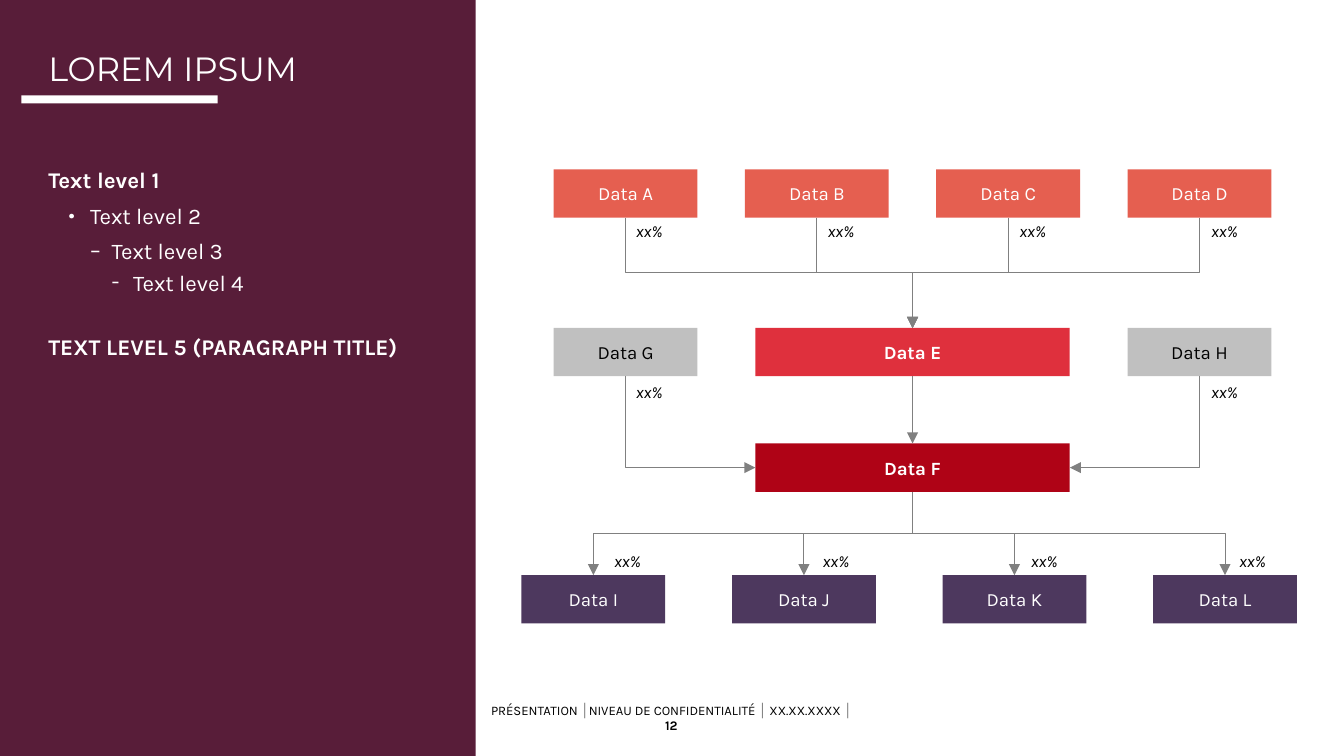
"""Build a slide with a text panel beside a data flow chart."""
import pptx
import pptx.dml.color
import pptx.enum.shapes
import pptx.enum.text
import pptx.oxml.ns
import pptx.util
from lxml import etree

Inches = pptx.util.Inches
CENTER = pptx.enum.text.PP_ALIGN.CENTER
LEFT = pptx.enum.text.PP_ALIGN.LEFT
MIDDLE = pptx.enum.text.MSO_ANCHOR.MIDDLE
STRAIGHT = pptx.enum.shapes.MSO_CONNECTOR.STRAIGHT
ELBOW = pptx.enum.shapes.MSO_CONNECTOR.ELBOW
TOP_SIDE, LEFT_SIDE, BOTTOM_SIDE, RIGHT_SIDE = range(4)

WHITE, BLACK, GRAY = "FFFFFF", "010101", "808080"
PLUM, CORAL, SILVER, PURPLE = "581D39", "E55F50", "C0C0C0", "4D385E"
SLIDE_WIDTH = 10
SLIDE_HEIGHT = SLIDE_WIDTH * 9 / 16
BOX_WIDTH, WIDE_WIDTH, BOX_HEIGHT = 1.07, 2.34, 0.36

TITLE = "LOREM IPSUM"
LEVELS = [
    ("Text level 1", None, 0, 8, 0.9, True),
    ("Text level 2", "•", 0.31, 6, 0.9, False),
    ("Text level 3", "–", 0.47, 6, 0.9, False),
    ("Text level 4", "-", 0.63, 4, 0.9, False),
    ("TEXT LEVEL 5 (PARAGRAPH TITLE)", None, 0, 20, 1, True),
]
FOOTER = [
    ("PRÉSENTATION ", BLACK, False), ("│", GRAY, False),
    ("NIVEAU DE CONFIDENTIALITÉ ", BLACK, False), ("│ ", GRAY, False),
    ("XX.XX.XXXX ", BLACK, False), ("│ ", GRAY, False), ("12", BLACK, True),
]
BOX_ROWS = [
    ("ABCD", 4.12, 8.39, 1.26, BOX_WIDTH, CORAL, WHITE, False),
    ("GH", 4.12, 8.39, 2.44, BOX_WIDTH, SILVER, BLACK, False),
    ("E", 5.62, 5.62, 2.44, WIDE_WIDTH, "DF303D", WHITE, True),
    ("F", 5.62, 5.62, 3.3, WIDE_WIDTH, "AF0316", WHITE, True),
    ("IJKL", 3.88, 8.58, 4.28, BOX_WIDTH, PURPLE, WHITE, False),
]
LABEL_ROWS = [
    (4, 4.63, 8.91, 1.64, CENTER),
    (2, 4.63, 8.91, 2.84, CENTER),
    (4, 4.49, 9.14, 4.1, LEFT),
]
ELBOWS = (
    [(name, "E", TOP_SIDE) for name in "ABCD"]
    + [("G", "F", LEFT_SIDE), ("H", "F", RIGHT_SIDE)]
    + [("F", name, TOP_SIDE) for name in "IJKL"]
)


def color(value):
    return pptx.dml.color.RGBColor.from_string(value)


def spread(first, last, count):
    step = (last - first) / max(count - 1, 1)
    return [first + step * index for index in range(count)]


def set_font(font, size, fill, bold=False, italic=False, name="Karla"):
    font.name, font.size = name, pptx.util.Pt(size)
    font.bold, font.italic = bold, italic
    font.color.rgb = color(fill)


def set_frame(shape, margins, anchor):
    frame = shape.text_frame
    frame.word_wrap = True
    frame.vertical_anchor = anchor
    (frame.margin_left, frame.margin_top,
     frame.margin_right, frame.margin_bottom) = map(Inches, margins)
    return frame


def add_text(slide, bounds, anchor=pptx.enum.text.MSO_ANCHOR.TOP, inset=0):
    shape = slide.shapes.add_textbox(*map(Inches, bounds))
    return set_frame(shape, (inset, 0, 0, 0), anchor)


def add_rectangle(slide, bounds, fill):
    shape = slide.shapes.add_shape(
        pptx.enum.shapes.MSO_SHAPE.RECTANGLE, *map(Inches, bounds))
    shape.shadow.inherit = False
    shape.fill.solid()
    shape.fill.fore_color.rgb = color(fill)
    shape.line.fill.background()
    return shape


def add_box(slide, text, bounds, fill, text_color, bold):
    shape = add_rectangle(slide, bounds, fill)
    paragraph = set_frame(shape, [0.04] * 4, MIDDLE).paragraphs[0]
    paragraph.text, paragraph.alignment = text, CENTER
    set_font(paragraph.font, 10, text_color, bold)
    return shape


def add_arrow(slide, kind, source, target, side):
    connector = slide.shapes.add_connector(kind, 0, 0, 0, 0)
    connector.begin_connect(source, BOTTOM_SIDE)
    connector.end_connect(target, side)
    connector.line.color.rgb = color(GRAY)
    connector.line.width = pptx.util.Pt(0.5)
    line = connector.line._get_or_add_ln()
    etree.SubElement(line, pptx.oxml.ns.qn("a:tailEnd"), type="triangle")
    properties = connector._element.spPr
    etree.SubElement(properties, pptx.oxml.ns.qn("a:effectLst"))
    return connector


def add_elbow(slide, source, target, side):
    connector = add_arrow(slide, ELBOW, source, target, side)
    run = connector.end_x - connector.begin_x
    drop = connector.end_y - connector.begin_y
    center_x = (connector.begin_x + connector.end_x) // 2
    center_y = (connector.begin_y + connector.end_y) // 2
    connector.left, connector.top = center_x - drop // 2, center_y - abs(run) // 2
    connector.width, connector.height = drop, abs(run)
    properties = connector._element.spPr
    transform = properties.find(pptx.oxml.ns.qn("a:xfrm"))
    transform.set("rot", "16200000" if run > 0 else "5400000")
    transform.set("flipH", "1" if run > 0 else "0")
    transform.set("flipV", "0")
    if side != TOP_SIDE:
        geometry = properties.find(pptx.oxml.ns.qn("a:prstGeom"))
        geometry.set("prst", "bentConnector2")


def add_panel(slide):
    add_rectangle(slide, (0, 0, 3.54, SLIDE_HEIGHT), PLUM)
    frame = add_text(slide, (0.36, 0.42, 3.13, 0.23), pptx.enum.text.MSO_ANCHOR.BOTTOM)
    title = frame.paragraphs[0]
    title.text, title.line_spacing = TITLE, 0.75
    set_font(title.font, 18, WHITE, name="Montserrat")
    add_rectangle(slide, (0.16, 0.71, 1.46, 0.06), WHITE)
    frame = add_text(slide, (0.36, 1.26, 2.78, 1.58))
    for index, (text, bullet, indent, before, spacing, bold) in enumerate(LEVELS):
        paragraph = frame.add_paragraph() if index else frame.paragraphs[0]
        paragraph.text, paragraph.level = text, index
        paragraph.line_spacing = spacing
        paragraph.space_before = pptx.util.Pt(before)
        properties = paragraph._p.get_or_add_pPr()
        properties.set("marL", str(Inches(indent)))
        properties.set("indent", str(Inches(-0.16 if bullet else 0)))
        if bullet:
            etree.SubElement(properties, pptx.oxml.ns.qn("a:buFont"), typeface="Karla")
            etree.SubElement(properties, pptx.oxml.ns.qn("a:buChar"), char=bullet)
        set_font(paragraph.font, 12, WHITE, bold)


def add_footer(slide):
    paragraph = add_text(slide, (3.64, 5.28, 2.71, 0.12), MIDDLE).paragraphs[0]
    paragraph.alignment = CENTER
    for text, fill, bold in FOOTER:
        run = paragraph.add_run()
        run.text = text
        set_font(run.font, 7, fill, bold)


def add_chart_flow(slide):
    boxes = {}
    for names, first, last, top, width, fill, text_color, bold in BOX_ROWS:
        for name, left in zip(names, spread(first, last, len(names))):
            bounds = (left, top, width, BOX_HEIGHT)
            boxes[name] = add_box(slide, f"Data {name}", bounds, fill, text_color, bold)
    add_arrow(slide, STRAIGHT, boxes["E"], boxes["F"], TOP_SIDE)
    for source, target, side in ELBOWS:
        add_elbow(slide, boxes[source], boxes[target], side)
    for count, first, last, top, alignment in LABEL_ROWS:
        for left in spread(first, last, count):
            frame = add_text(slide, (left, top, 0.32, 0.15), inset=0.08)
            paragraph = frame.paragraphs[0]
            paragraph.text, paragraph.alignment = "xx%", alignment
            set_font(paragraph.font, 9, BLACK, italic=True)


def main():
    presentation = pptx.Presentation()
    presentation.slide_width = Inches(SLIDE_WIDTH)
    presentation.slide_height = Inches(SLIDE_HEIGHT)
    slide = presentation.slides.add_slide(presentation.slide_layouts[6])
    add_footer(slide)
    add_panel(slide)
    add_chart_flow(slide)
    presentation.save("out.pptx")


if __name__ == "__main__":
    main()
